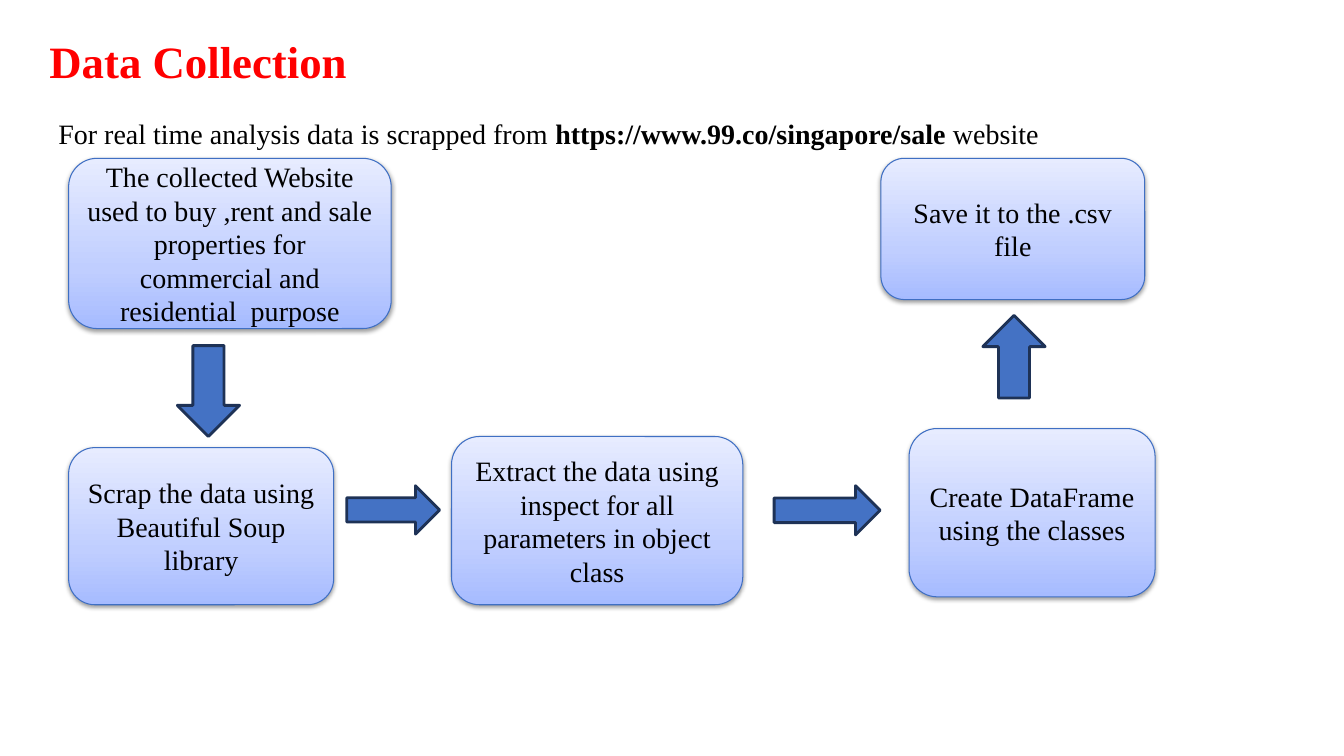
from pptx import Presentation
from pptx.dml.color import RGBColor
from pptx.enum import shapes, text
from pptx.oxml import parse_xml
from pptx.oxml.ns import nsdecls
from pptx.util import Cm, Pt

FONT = "Times New Roman"
RED = RGBColor(0xFF, 0x00, 0x00)
BLACK = RGBColor(0x00, 0x00, 0x00)
STEP_EDGE = RGBColor(0x3F, 0x6F, 0xC3)
ARROW_BLUE = RGBColor(0x44, 0x72, 0xC4)
ARROW_EDGE = RGBColor(0x1E, 0x32, 0x56)
STEP_GRADIENT = (
    (0, RGBColor(0xA6, 0xBB, 0xFF)),
    (35, RGBColor(0xC0, 0xCE, 0xFF)),
    (100, RGBColor(0xE7, 0xEC, 0xFF)),
)

# Left, top, width and height in centimetres
STEPS = (
    ("The collected Website used to buy ,rent and sale properties for "
     "commercial and residential  purpose", (1.73, 3.99, 8.13, 4.29)),
    ("Scrap the data using Beautiful Soup library", (1.73, 11.28, 6.68, 3.96)),
    ("Extract the data using inspect for all parameters in object class",
     (11.38, 11, 7.34, 4.24)),
    ("Create DataFrame using the classes", (22.91, 10.8, 6.2, 4.24)),
    ("Save it to the .csv file", (22.2, 3.99, 6.65, 3.56)),
)
ARROWS = (
    (shapes.MSO_SHAPE.DOWN_ARROW, (4.47, 8.71, 1.57, 2.29)),
    (shapes.MSO_SHAPE.RIGHT_ARROW, (8.74, 12.24, 2.34, 1.22)),
    (shapes.MSO_SHAPE.RIGHT_ARROW, (19.51, 12.24, 2.67, 1.24)),
    (shapes.MSO_SHAPE.UP_ARROW, (24.77, 7.95, 1.57, 2.08)),
)


def lengths(box):
    return [Cm(value) for value in box]


def format_runs(paragraph, size, color):
    for run in paragraph.runs:
        run.font.name = FONT
        run.font.size = Pt(size)
        run.font.color.rgb = color


def add_gradient(step):
    """Fill a shape from dark at the bottom to light at the top."""
    stops = "".join(
        f'<a:gs pos="{place * 1000}"><a:srgbClr val="{color}"/></a:gs>'
        for place, color in STEP_GRADIENT)
    gradient = parse_xml(
        f'<a:gradFill {nsdecls("a")} rotWithShape="1"><a:gsLst>{stops}</a:gsLst>'
        '<a:lin ang="16200000" scaled="0"/></a:gradFill>')
    step._element.spPr.prstGeom.addnext(gradient)


def add_soft_shadow(step):
    step.shadow.inherit = False
    effects = step._element.spPr.find(
        "{http://schemas.openxmlformats.org/drawingml/2006/main}effectLst")
    effects.append(parse_xml(
        f'<a:outerShdw {nsdecls("a")} blurRad="{Pt(3.15)}" dist="{Pt(1.57)}" '
        'dir="5400000" rotWithShape="0"><a:srgbClr val="000000">'
        '<a:alpha val="38000"/></a:srgbClr></a:outerShdw>'))


def add_step(slide, wording, box):
    step = slide.shapes.add_shape(
        shapes.MSO_SHAPE.ROUNDED_RECTANGLE, *lengths(box))
    add_gradient(step)
    step.line.color.rgb = STEP_EDGE
    step.line.width = Pt(0.75)
    add_soft_shadow(step)
    frame = step.text_frame
    frame.text = wording
    frame.word_wrap = True
    frame.vertical_anchor = text.MSO_ANCHOR.MIDDLE
    frame.paragraphs[0].alignment = text.PP_ALIGN.CENTER
    format_runs(frame.paragraphs[0], 20, BLACK)


def add_arrow(slide, direction, box):
    arrow = slide.shapes.add_shape(direction, *lengths(box))
    arrow.shadow.inherit = False
    arrow.fill.solid()
    arrow.fill.fore_color.rgb = ARROW_BLUE
    arrow.line.color.rgb = ARROW_EDGE
    arrow.line.width = Pt(2)


def add_intro(slide):
    intro = slide.shapes.add_textbox(*lengths((1.22, 2.82, 27.64, 1.12)))
    intro.text_frame.word_wrap = True
    sentence = intro.text_frame.paragraphs[0]
    for wording, bold in (
        ("For real time analysis data is scrapped from ", False),
        ("https://www.99.co/singapore/sale", True),
        (" website", False),
    ):
        run = sentence.add_run()
        run.text = wording
        run.font.bold = bold
    format_runs(sentence, 20, BLACK)


def set_title(slide, wording):
    title = slide.shapes.title
    title.left, title.top, title.width, title.height = lengths(
        (0.99, 0, 30.05, 3.2))
    title.text_frame.text = wording
    title.text_frame.vertical_anchor = text.MSO_ANCHOR.MIDDLE
    heading = title.text_frame.paragraphs[0]
    heading.alignment = text.PP_ALIGN.LEFT
    heading.line_spacing = 0.9
    format_runs(heading, 32, RED)
    heading.runs[0].font.bold = True


def main():
    deck = Presentation()
    deck.slide_width, deck.slide_height = Cm(33.87), Cm(19.05)
    slide = deck.slides.add_slide(deck.slide_layouts.get_by_name("Title Only"))
    set_title(slide, "Data Collection")
    for wording, box in STEPS:
        add_step(slide, wording, box)
    for direction, box in ARROWS:
        add_arrow(slide, direction, box)
    add_intro(slide)
    deck.save("out.pptx")


if __name__ == "__main__":
    main()
